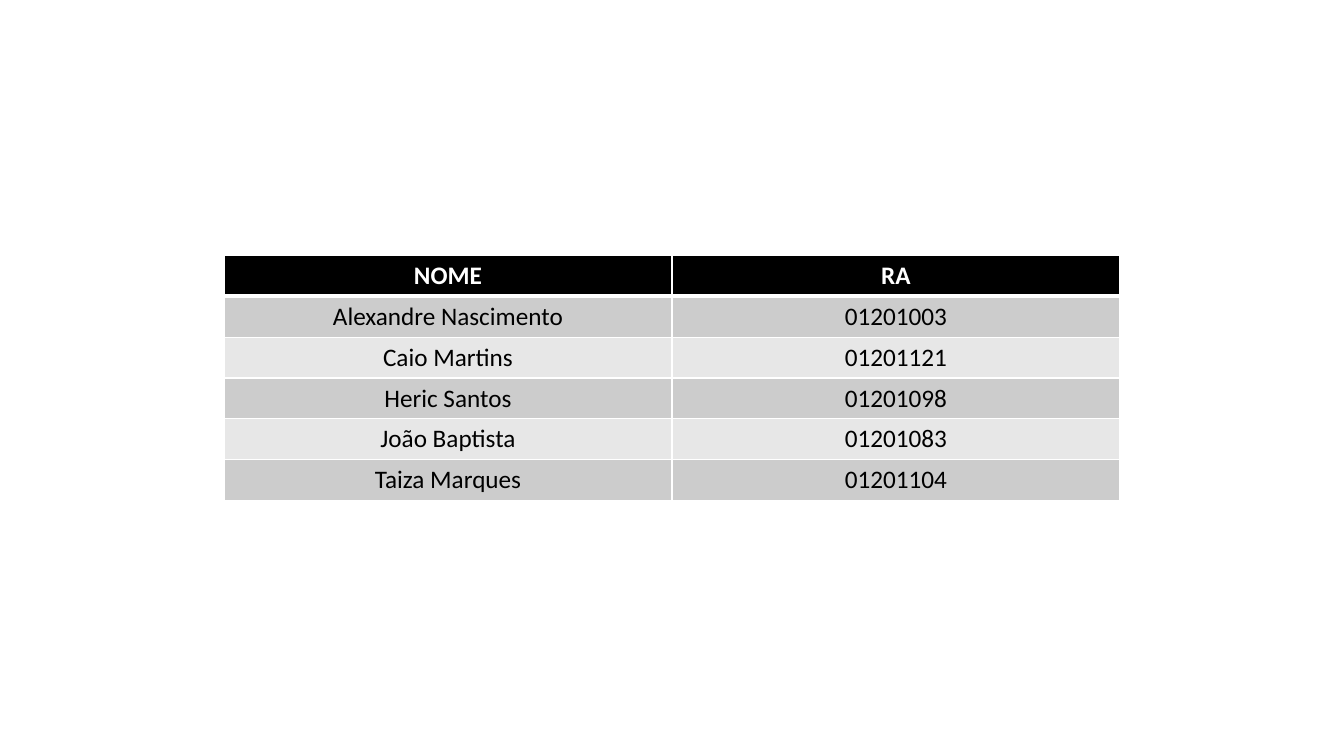
from lxml import etree
from pptx import Presentation
from pptx import util as u
from pptx.dml.color import RGBColor
from pptx.enum import text
from pptx.oxml import ns

STUDENTS = [
    ("NOME", "RA"),
    ("Alexandre Nascimento", "01201003"),
    ("Caio Martins", "01201121"),
    ("Heric Santos", "01201098"),
    ("João Baptista", "01201083"),
    ("Taiza Marques", "01201104"),
]

WHITE = RGBColor(0xFF, 0xFF, 0xFF)
BLACK = RGBColor(0, 0, 0)
DARK_BAND = RGBColor(0xCC, 0xCC, 0xCC)
LIGHT_BAND = RGBColor(0xE7, 0xE7, 0xE7)

PAGE_WIDTH, PAGE_HEIGHT = 960, 540
TABLE_LEFT, TABLE_TOP = 160, 182.4
COLUMN_WIDTH, ROW_HEIGHT = 320, 29.2
THIN, THICK = 1, 3

HEADER = {"size": u.Pt(18), "name": "Calibri", "bold": True}
BODY = {**HEADER, "bold": False}


def add_borders(cell, widths):
    properties = cell._tc.get_or_add_tcPr()
    for position, (side, width) in enumerate(widths.items()):
        line = etree.Element(ns.qn(f"a:{side}"), w=str(u.Pt(width)))
        fill = etree.SubElement(line, ns.qn("a:solidFill"))
        etree.SubElement(fill, ns.qn("a:srgbClr"), val=str(WHITE))
        properties.insert(position, line)


def fill_cell(cell, words, row):
    is_header = row == 0
    band = DARK_BAND if row % 2 else LIGHT_BAND
    cell.fill.solid()
    cell.fill.fore_color.rgb = BLACK if is_header else band
    add_borders(cell, {
        "lnL": THIN,
        "lnR": THIN,
        "lnT": THICK if row == 1 else THIN,
        "lnB": THICK if is_header else THIN,
    })
    para = cell.text_frame.paragraphs[0]
    para.alignment = text.PP_ALIGN.CENTER
    span = para.add_run()
    span.text = words
    for name, value in (HEADER if is_header else BODY).items():
        setattr(span.font, name, value)
    span.font.color.rgb = WHITE if is_header else BLACK


def main():
    deck = Presentation()
    deck.slide_width, deck.slide_height = u.Pt(PAGE_WIDTH), u.Pt(PAGE_HEIGHT)
    page = deck.slides.add_slide(deck.slide_layouts[6])
    rows, columns = len(STUDENTS), len(STUDENTS[0])
    table = page.shapes.add_table(
        rows, columns, u.Pt(TABLE_LEFT), u.Pt(TABLE_TOP),
        u.Pt(columns * COLUMN_WIDTH), u.Pt(rows * ROW_HEIGHT),
    ).table
    for row, student in enumerate(STUDENTS):
        for column, words in enumerate(student):
            fill_cell(table.cell(row, column), words, row)
    deck.save("out.pptx")


if __name__ == "__main__":
    main()
